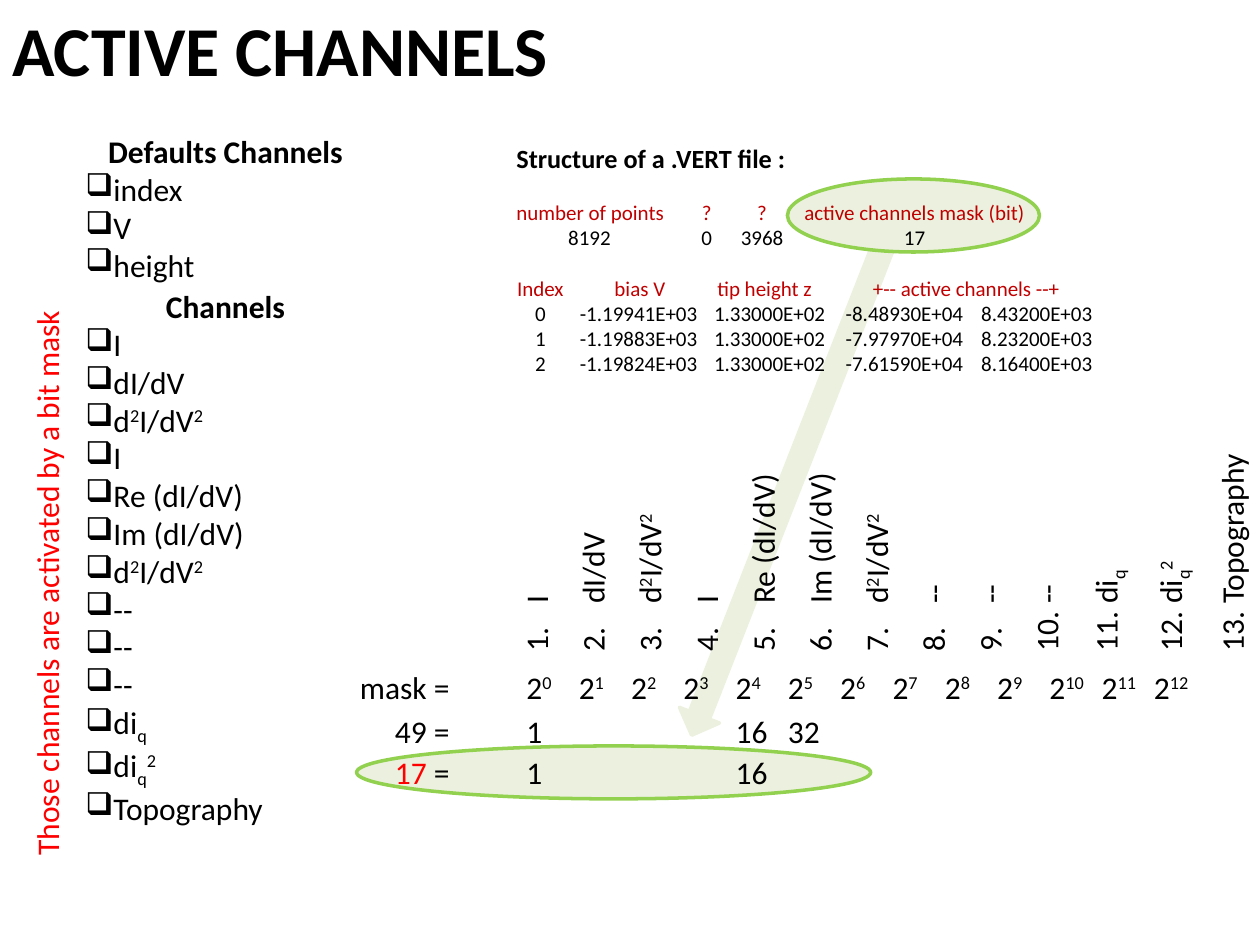
from lxml.etree import SubElement
from pptx import Presentation
from pptx.dml.color import RGBColor
from pptx.enum.shapes import MSO_SHAPE
from pptx.enum.text import MSO_AUTO_SIZE, PP_ALIGN
from pptx.oxml.ns import qn
from pptx.util import Inches, Pt

COLORS = {"black": "000000", "red": "FF0000", "dark_red": "C00000",
          "pale": "EBF1DE", "green": "92D050"}
BASELINES = {"^": "30000", "_": "-25000"}


class SlideBuilder:
    font = "Calibri"

    def __init__(self, presentation):
        self.slide = presentation.slides.add_slide(presentation.slide_layouts[6])

    def color(self, name):
        return RGBColor.from_string(COLORS[name])

    def shape(self, kind, box, line, rotation=0):
        shape = self.slide.shapes.add_shape(kind, *map(Inches, box))
        shape.shadow.inherit = False
        shape.rotation = rotation
        shape.fill.solid()
        shape.fill.fore_color.rgb = self.color("pale")
        shape.line.color.rgb = self.color(line)
        shape.line.width = Pt(2)

    def text(self, box, paragraphs, rotation=0, wrap=True, vertical=None, **style):
        shape = self.slide.shapes.add_textbox(*map(Inches, box))
        shape.rotation = rotation
        frame = shape.text_frame
        frame.word_wrap = wrap
        frame.auto_size = MSO_AUTO_SIZE.SHAPE_TO_FIT_TEXT
        if vertical:
            frame._txBody.bodyPr.set("vert", vertical)
        for index, (content, changes) in enumerate(paragraphs):
            paragraph = frame.add_paragraph() if index else frame.paragraphs[0]
            self.fill_paragraph(paragraph, content, {**style, **changes})

    def fill_paragraph(self, paragraph, content, style):
        for name in ("alignment", "line_spacing", "space_before"):
            if name in style:
                setattr(paragraph, name, style[name])
        properties = paragraph._p.get_or_add_pPr()
        if "bullet" in style:
            SubElement(properties, qn("a:buChar"), char=style["bullet"])
        if "numbering" in style:
            indent = Inches(0.38)
            properties.set("marL", str(indent))
            properties.set("indent", str(-indent))
            SubElement(properties, qn("a:buAutoNum"), type=style["numbering"])
        if "tabs" in style:
            stops = SubElement(properties, qn("a:tabLst"))
            for position, alignment in style["tabs"]:
                SubElement(stops, qn("a:tab"), pos=str(Inches(position)), algn=alignment)
        for index, piece in enumerate(content.split("|")):
            if piece:
                mark, words = (piece[0], piece[1:]) if index % 2 else ("", piece)
                self.add_run(paragraph, words, mark, style)

    def add_run(self, paragraph, words, mark, style):
        run = paragraph.add_run()
        run.text = words
        values = {"name": self.font, "size": Pt(style.get("size", 18)),
                  "bold": style.get("bold", False)}
        for name, value in values.items():
            setattr(run.font, name, value)
        run.font.color.rgb = self.color("red" if mark == "*" else style.get("color", "black"))
        if mark in BASELINES:
            run._r.get_or_add_rPr().set("baseline", BASELINES[mark])


def plain(lines, **changes):
    return [(line, changes) for line in lines]


def centered(*positions):
    return [(position, "ctr") for position in positions]


presentation = Presentation()
presentation.slide_width, presentation.slide_height = Inches(10), Inches(7.5)
builder = SlideBuilder(presentation)

builder.shape(MSO_SHAPE.OVAL, (2.83, 5.92, 4.08, 0.42), "green")
builder.shape(MSO_SHAPE.DOWN_ARROW, (6.14, 1.49, 0.34, 4.5), "pale", 21.4)
builder.shape(MSO_SHAPE.OVAL, (6.25, 1.42, 2, 0.58), "green")

second_derivative = "d|^2|I/dV|^2|"
channels = ["I", "dI/dV", second_derivative, "I", "Re (dI/dV)", "Im (dI/dV)",
            second_derivative, "--", "--", "--", "di|_q|", "di|_q||^2|", "Topography"]
channel_lists = [
    ((0.58, 2.23, 2.42, 4.34), "Channels", channels),
    ((0.58, 1, 2.42, 1.31), "Defaults Channels", ["index", "V", "height"]),
]
for box, heading, names in channel_lists:
    title = plain([heading], bold=True, alignment=PP_ALIGN.CENTER)
    builder.text(box, title + plain(names, bullet="\u2751"))

parameter_tabs = centered(0.58, 1.51, 1.95, 3.16)
data_tabs = centered(0.19, 0.97, 2.01, 3.08, 4.13)
header_tabs = centered(0.19, 0.98, 1.97, 3.57)
header = {"color": "dark_red", "space_before": Pt(14.6)}
data_rows = [
    "\t0\t-1.19941E+03\t1.33000E+02\t-8.48930E+04\t8.43200E+03",
    "\t1\t-1.19883E+03\t1.33000E+02\t-7.97970E+04\t8.23200E+03",
    "\t2\t-1.19824E+03\t1.33000E+02\t-7.61590E+04\t8.16400E+03",
]
builder.text((4, 1.08, 5.42, 1.97), [
    ("Structure of a .VERT file :", {"size": 15, "bold": True}),
    ("\tnumber of points\t?\t?\tactive channels mask (bit)", {**header, "tabs": parameter_tabs}),
    ("\t8192\t0\t3968\t17", {"tabs": parameter_tabs}),
    ("\tIndex\tbias V\ttip height z\t+-- active channels --+", {**header, "tabs": header_tabs}),
    *plain(data_rows, tabs=data_tabs),
], size=12)

builder.text((-1.92, 4.4, 4.58, 0.4), plain(["Those channels are activated by a bit mask"]),
             rotation=270, wrap=False, color="red")
builder.text((0, 0, 4.5, 0.77), plain(["ACTIVE CHANNELS"]), wrap=False, size=40, bold=True)
builder.text((3.9, 3.42, 6.11, 1.85), plain(channels), vertical="vert270",
             numbering="arabicPeriod", line_spacing=1.5)

first_bit, last_bit = 1.33, 6.31
bit_step = (last_bit - first_bit) / (len(channels) - 1)
bit_tabs = [(0.72, "r")] + [(first_bit + bit * bit_step, "l") for bit in range(len(channels))]
powers = "".join(f"\t2|^{bit}|" for bit in range(len(channels)))
mask_rows = [
    (5.25, 7.25, "\tmask =" + powers),
    (5.6, 5.83, "\t49 =\t1\t\t\t\t16\t32"),
    (5.93, 5.83, "\t|*17| =\t1\t\t\t\t16"),
]
for top, width, content in mask_rows:
    builder.text((2.75, top, width, 0.4), plain([content]), tabs=bit_tabs)

presentation.save("out.pptx")
